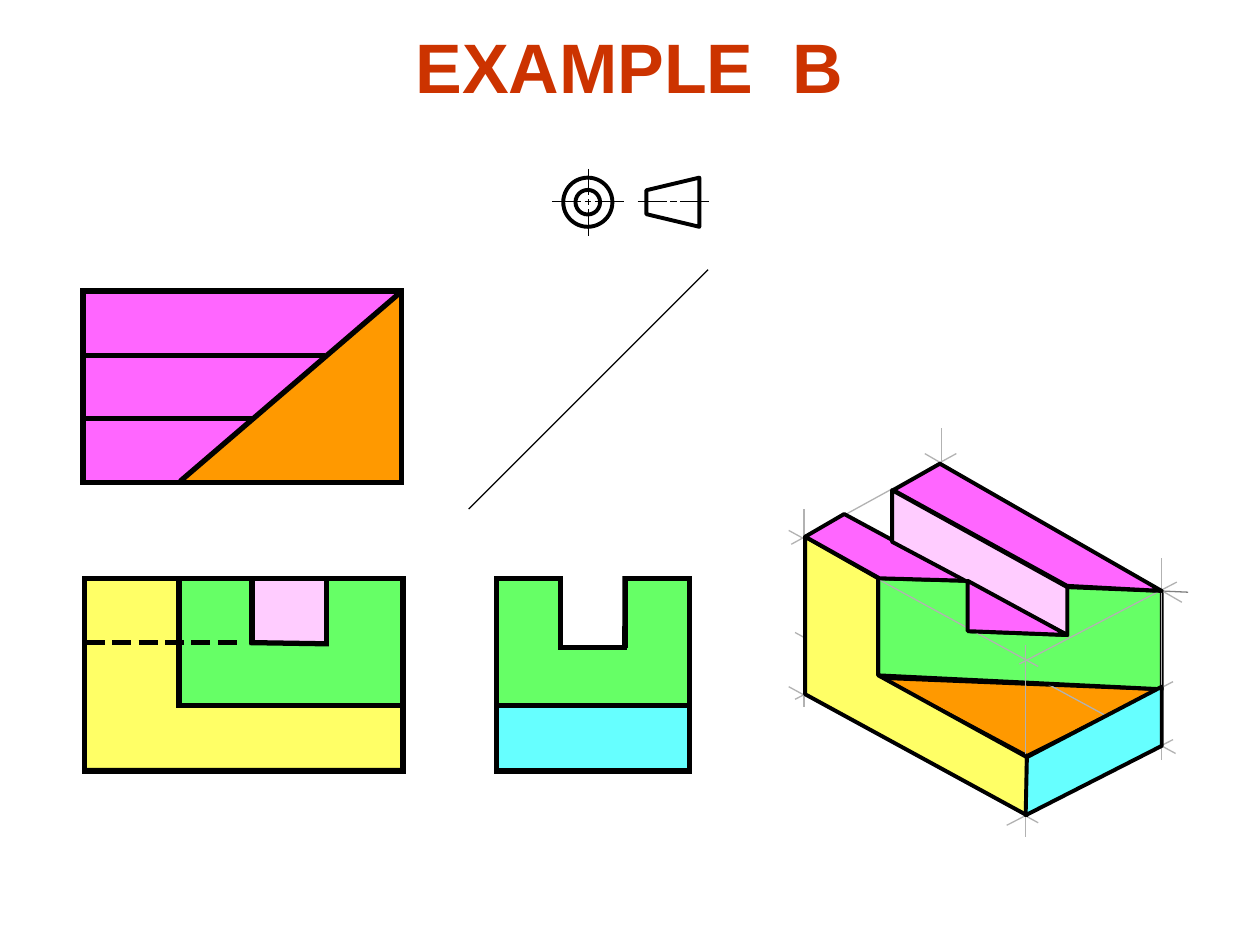
from lxml.etree import SubElement
from pptx import Presentation
from pptx.dml.color import RGBColor as RGB
from pptx.enum.shapes import MSO_CONNECTOR as LINK, MSO_SHAPE as KIND
from pptx.enum.text import MSO_ANCHOR as ANCHOR, MSO_AUTO_SIZE as FIT, PP_ALIGN as ALIGN
from pptx.oxml.ns import qn
from pptx.util import Pt

PX = 9144  # 100 px to the inch
BLACK = RGB(0, 0, 0)
WHITE = RGB(255, 255, 255)
GREY = RGB(0xB2, 0xB2, 0xB2)
DARK = RGB(0x80, 0x80, 0x80)
RED = RGB(0xCC, 0x33, 0x00)
PINK = RGB(0xFF, 0x66, 0xFF)
PALE = RGB(0xFF, 0xCC, 0xFF)
ORANGE = RGB(0xFF, 0x99, 0x00)
YELLOW = RGB(0xFF, 0xFF, 0x66)
GREEN = RGB(0x66, 0xFF, 0x66)
CYAN = RGB(0x66, 0xFF, 0xFF)
THIN, AXIS, EDGE, BOLD = 0.75, 1, 2.25, 3


class Sheet:
    """Holds the slide and draws each kind of element on it."""

    def __init__(self, slide):
        self.slide = slide
        self.shapes = slide.shapes

    def title(self, text, x, y, w, h):
        box = self.shapes.title
        box.left, box.top, box.width, box.height = (v * PX for v in (x, y, w, h))
        frame = box.text_frame
        frame.text = text
        frame.word_wrap = False
        frame.auto_size = FIT.NONE
        frame.margin_left = frame.margin_right = 0
        frame.vertical_anchor = ANCHOR.TOP
        para = frame.paragraphs[0]
        para.alignment = ALIGN.CENTER
        font = para.font
        font.name, font.size, font.bold = "Arial", Pt(40), True
        font.color.rgb = RED

    def paint(self, shape, fill, width):
        """Set fill and outline; None leaves either one out."""
        shape.shadow.inherit = False
        if fill is None:
            shape.fill.background()
        else:
            shape.fill.solid()
            shape.fill.fore_color.rgb = fill
        if width is None:
            shape.line.fill.background()
        else:
            shape.line.color.rgb = BLACK
            shape.line.width = Pt(width)

    def shape(self, x, y, w, h, fill=None, width=None, kind=KIND.RECTANGLE):
        """Draw a preset shape with sharp corners."""
        item = self.shapes.add_shape(kind, x * PX, y * PX, w * PX, h * PX)
        self.paint(item, fill, width)
        SubElement(item._element.spPr.find(qn("a:ln")), qn("a:miter"), lim="800000")

    def face(self, fill, width, *points):
        """Draw a closed polygon through the points."""
        pen = self.shapes.build_freeform(*points[0], scale=PX)
        pen.add_line_segments(points[1:], close=True)
        self.paint(pen.convert_to_shape(), fill, width)

    def lines(self, color, width, *ends):
        """Draw one straight line for each (x1, y1, x2, y2)."""
        for end in ends:
            link = self.shapes.add_connector(LINK.STRAIGHT, *(v * PX for v in end))
            link.line.color.rgb = color
            link.line.width = Pt(width)
            SubElement(link._element.spPr, qn("a:effectLst"))


def fills(sheet):
    """Colour the areas of the three flat views."""
    sheet.shape(200, 459, 59, 51, PALE)
    for top, right, low in ((281, 317, 258), (231, 317, 258), (332, 200, 142)):
        sheet.face(PINK, None, (66, top + 50), (low, top + 50), (right, top), (65, top))
    sheet.shape(393, 560, 153, 50, CYAN)
    sheet.face(ORANGE, THIN, (318, 383), (318, 231), (142, 382))
    sheet.face(YELLOW, THIN, (66, 610), (319, 610), (319, 560),
               (141, 560), (141, 460), (67, 460))
    sheet.face(GREEN, None, (394, 561), (547, 561), (547, 460), (496, 460),
               (496, 514), (444, 514), (444, 459), (393, 459))
    sheet.face(GREEN, None, (142, 560), (318, 560), (318, 459), (259, 459),
               (259, 511), (199, 511), (199, 458), (141, 458))


def symbol(sheet):
    """Draw the projection symbol: rings, cone and centre lines."""
    sheet.shape(447, 141, 39, 39, None, EDGE, KIND.DONUT)
    sheet.face(None, EDGE, (555, 141), (555, 180), (513, 170), (513, 151))
    for mid in (467, 535):
        sheet.lines(BLACK, AXIS, *((mid + a, 160, mid + b, 160)
                                   for a, b in ((-29, -6), (-3, 2), (5, 28))))
    sheet.lines(BLACK, AXIS, *((467, a, 467, b)
                               for a, b in ((134, 155), (158, 163), (166, 187))))


def edges(sheet):
    """Draw the edges of the three flat views."""
    for x, y, w, h in ((66, 231, 253, 152), (67, 459, 253, 153), (394, 459, 153, 153)):
        sheet.shape(x, y, w, h, None, BOLD)
    sheet.lines(BLACK, BOLD,
                (143, 382, 319, 231), (66, 282, 258, 282), (66, 332, 200, 332),
                (140, 560, 319, 560), (142, 459, 142, 561), (395, 560, 546, 560),
                (200, 459, 200, 511), (198, 510, 261, 511), (259, 459, 259, 511),
                (443, 514, 498, 514), (445, 461, 445, 514), (496, 461, 496, 514))
    sheet.lines(BLACK, BOLD, *((x, 510, x + 15, 510) for x in range(68, 175, 21)))
    sheet.shape(447, 451, 47, 46, WHITE)


def solid(sheet):
    """Draw the isometric view over its grey guide lines."""
    sheet.lines(GREY, THIN, (747, 340, 747, 511), (631, 555, 764, 487),
                (734, 490, 933, 598))
    sheet.face(GREEN, EDGE, (697, 536), (922, 547), (922, 469), (847, 466),
               (847, 504), (769, 501), (769, 461), (697, 459))
    sheet.lines(GREY, THIN,
                (723, 445, 678, 471), (628, 432, 759, 360), (799, 655, 931, 587),
                (734, 360, 938, 478), (638, 404, 638, 561), (626, 545, 824, 653),
                (922, 443, 922, 603), (814, 512, 814, 664), (626, 421, 824, 529),
                (809, 527, 934, 462), (931, 541, 806, 606), (631, 502, 830, 610))
    sheet.face(YELLOW, EDGE, (639, 551), (815, 647), (815, 601),
               (697, 536), (697, 459), (639, 426))
    sheet.face(CYAN, EDGE, (814, 647), (922, 592), (922, 545), (815, 601))
    sheet.face(PINK, EDGE, (639, 426), (698, 459), (768, 461), (670, 408))
    sheet.face(PINK, EDGE, (709, 389), (847, 465), (922, 469), (746, 368))
    sheet.face(PALE, EDGE, (847, 504), (708, 430), (708, 389), (847, 466))
    sheet.face(PINK, EDGE, (768, 501), (847, 504), (768, 461))


def main():
    deck = Presentation()
    deck.slide_width, deck.slide_height = 1000 * PX, 750 * PX
    sheet = Sheet(deck.slides.add_slide(deck.slide_layouts[5]))
    sheet.title("EXAMPLE  B", 320, 14, 359, 77)
    sheet.face(ORANGE, EDGE, (815, 600), (921, 547), (699, 538))
    sheet.lines(DARK, THIN, (673, 458, 943, 470))
    fills(sheet)
    symbol(sheet)
    edges(sheet)
    sheet.lines(BLACK, THIN, (372, 404, 562, 214))
    solid(sheet)
    deck.save("out.pptx")


if __name__ == "__main__":
    main()
